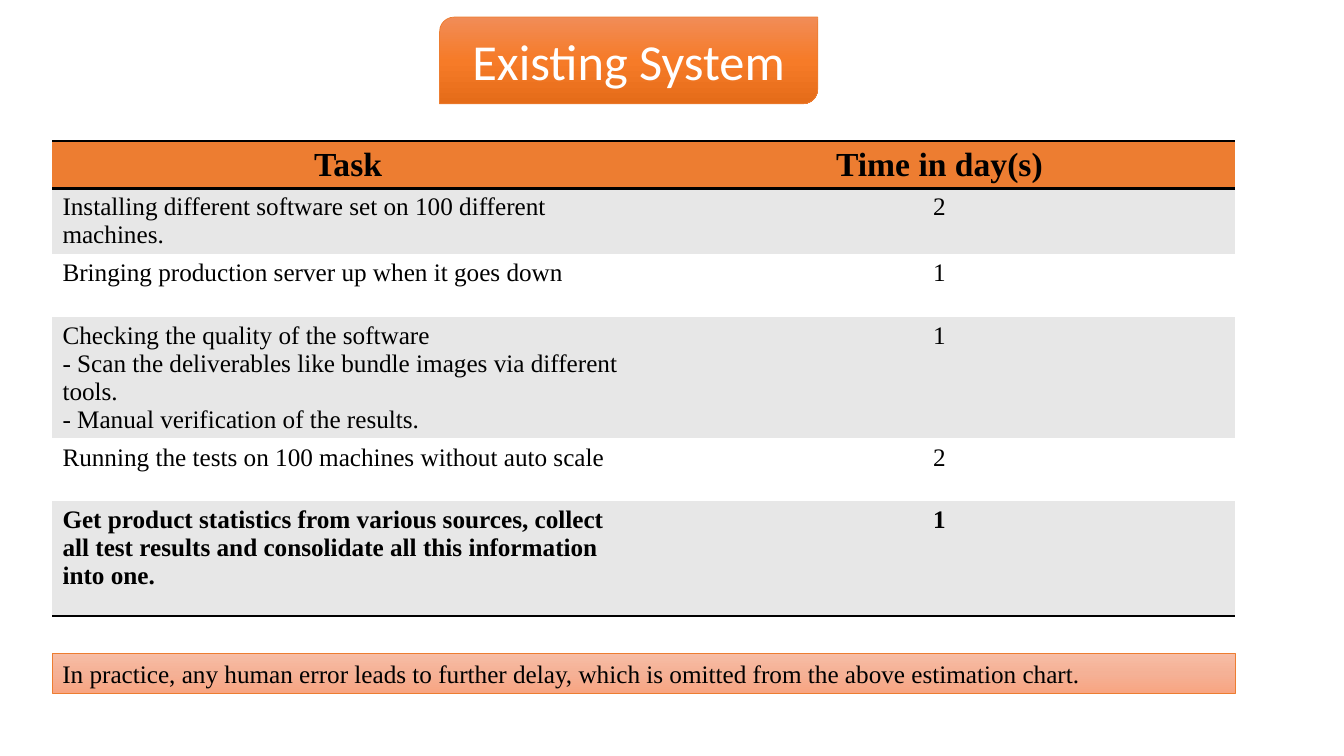
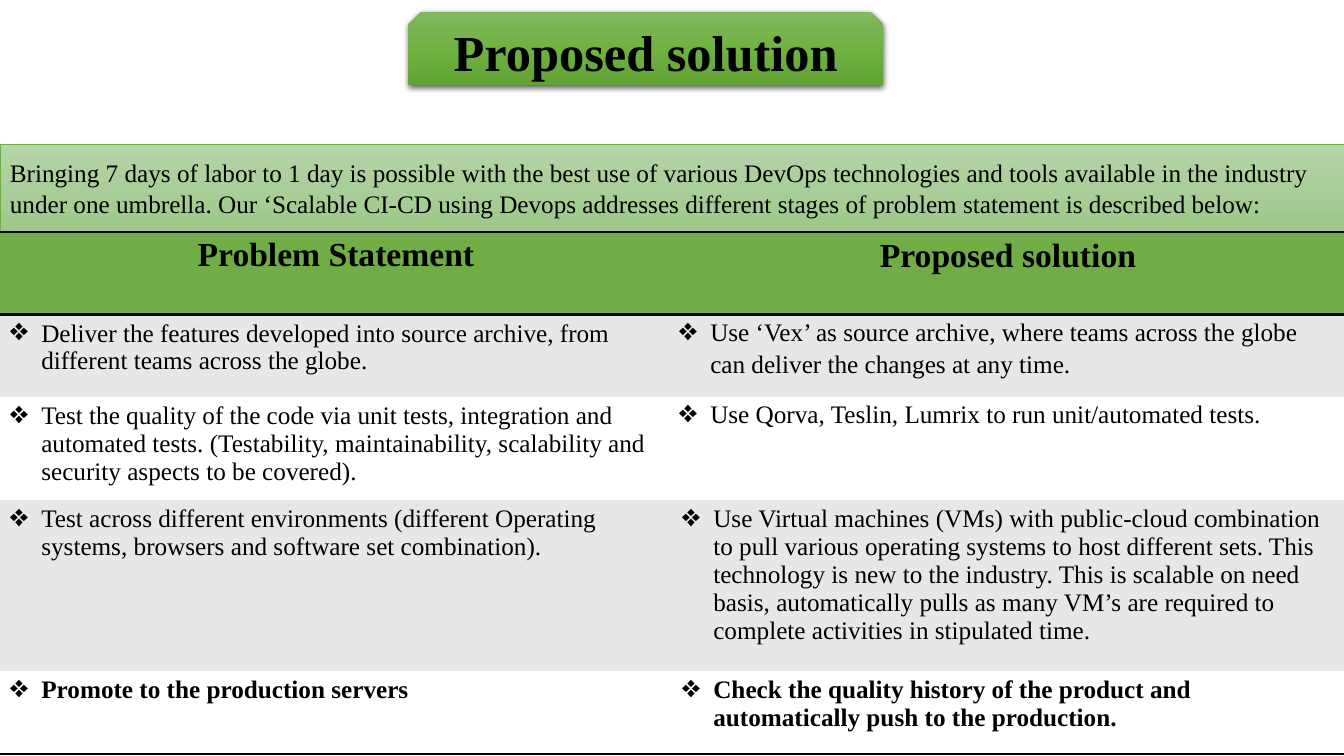
"""Build two slides comparing the existing system with the proposed solution."""
from copy import deepcopy

from lxml import etree
from pptx import Presentation
from pptx.dml.color import RGBColor
from pptx.enum.shapes import MSO_SHAPE
from pptx.enum.text import MSO_ANCHOR, PP_ALIGN
from pptx.oxml import parse_xml
from pptx.oxml.ns import nsdecls, qn
from pptx.util import Inches, Pt

RECTANGLE = MSO_SHAPE.RECTANGLE
ROUND_DIAGONAL = MSO_SHAPE.ROUND_2_DIAG_RECTANGLE
SNIP_SAME_SIDE = MSO_SHAPE.SNIP_2_SAME_RECTANGLE
MIDDLE = MSO_ANCHOR.MIDDLE
LEFT, CENTER = PP_ALIGN.LEFT, PP_ALIGN.CENTER

BLACK = RGBColor(0x00, 0x00, 0x00)
WHITE = RGBColor(0xFF, 0xFF, 0xFF)
BAND_GRAY = RGBColor(0xE7, 0xE7, 0xE7)
ORANGE = RGBColor(0xED, 0x7D, 0x31)
GREEN = RGBColor(0x70, 0xAD, 0x47)
ORANGE_STRONG = [RGBColor(0xF1, 0x8C, 0x57), RGBColor(0xF6, 0x7B, 0x28), RGBColor(0xE5, 0x6C, 0x19)]
ORANGE_SOFT = [RGBColor(0xF7, 0xBD, 0xA5), RGBColor(0xF5, 0xB1, 0x96), RGBColor(0xF8, 0xA5, 0x82)]
GREEN_STRONG = [RGBColor(0x81, 0xB8, 0x61), RGBColor(0x6F, 0xB2, 0x42), RGBColor(0x62, 0xA3, 0x36)]
GREEN_SOFT = [RGBColor(0xB5, 0xD5, 0xA7), RGBColor(0xAA, 0xCE, 0x9A), RGBColor(0x9C, 0xC9, 0x87)]

SERIF = "Times New Roman"
TITLE_SIZE, HEADER_SIZE, BODY_SIZE = Pt(36), Pt(24), Pt(18)
NO_TABLE_STYLE = "{2D5ABB26-0587-4C30-8999-92F81FD0307C}"


def add_box(slide, preset, left, top, width, height, gradient, line_color, text, size, align):
    """Add a shape with a vertical three-stop gradient and one paragraph."""
    shape = slide.shapes.add_shape(preset, Inches(left), Inches(top), Inches(width), Inches(height))
    shape.shadow.inherit = False
    shape.fill.gradient()
    shape.fill.gradient_angle = 270
    stop_list = shape._element.spPr.find(qn("a:gradFill")).find(qn("a:gsLst"))
    stop_list.insert(1, deepcopy(stop_list[0]))
    for stop, color, position in zip(shape.fill.gradient_stops, gradient, (0, 0.5, 1)):
        stop.color.rgb = color
        stop.position = position
    if line_color is None:
        shape.line.fill.background()
    else:
        shape.line.color.rgb = line_color
        shape.line.width = Pt(0.5)
    frame = shape.text_frame
    frame.word_wrap = True
    frame.vertical_anchor = MIDDLE
    paragraph = frame.paragraphs[0]
    paragraph.text = text
    paragraph.alignment = align
    paragraph.font.name = SERIF
    paragraph.font.size = size
    paragraph.font.color.rgb = BLACK
    return shape


def add_banded_table(slide, left, top, width, heights, rows, header_color):
    """Add a two-column table with a coloured header, grey bands and a bold last row."""
    graphic = slide.shapes.add_table(
        len(rows), 2, Inches(left), Inches(top), Inches(width), Inches(sum(heights)))
    table = graphic.table
    table._tbl.tblPr.find(qn("a:tableStyleId")).text = NO_TABLE_STYLE
    last = len(rows) - 1
    for row_index, (height, texts) in enumerate(zip(heights, rows)):
        table.rows[row_index].height = Inches(height)
        for column_index, text in enumerate(texts):
            cell = table.cell(row_index, column_index)
            cell.fill.solid()
            band_color = BAND_GRAY if row_index % 2 else WHITE
            cell.fill.fore_color.rgb = band_color if row_index else header_color
            paragraph = cell.text_frame.paragraphs[0]
            paragraph.text = text
            paragraph.alignment = LEFT if row_index and column_index == 0 else CENTER
            paragraph.font.name = SERIF
            paragraph.font.size = BODY_SIZE if row_index else HEADER_SIZE
            paragraph.font.bold = row_index in (0, last)
            paragraph.font.color.rgb = BLACK
            edges = {0: ("lnB", "lnT"), last: ("lnB",)}.get(row_index, ())
            for edge in edges:
                border = parse_xml(
                    f'<a:{edge} {nsdecls("a")} w="{Pt(2)}"><a:solidFill>'
                    f'<a:srgbClr val="{BLACK}"/></a:solidFill></a:{edge}>')
                cell._tc.get_or_add_tcPr().insert(0, border)
    return table


presentation = Presentation()
presentation.slide_width = Inches(13.33)
presentation.slide_height = Inches(7.5)
blank_layout = presentation.slide_layouts[6]

slide = presentation.slides.add_slide(blank_layout)
title = add_box(slide, ROUND_DIAGONAL, 4.36, 0.17, 3.75, 0.86, ORANGE_STRONG, ORANGE,
                "Existing System", TITLE_SIZE, CENTER)
title_font = title.text_frame.paragraphs[0].font
title_font.name = "Calibri"
title_font.color.rgb = WHITE

task_rows = [
    ("Task", "Time in day(s)"),
    ("Installing different software set on 100 different machines.", "2"),
    ("Bringing production server up when it goes down", "1"),
    ("Checking the quality of the software\v"
     "- Scan the deliverables like bundle images via different tools.\v"
     "- Manual verification of the results.", "1"),
    ("Running the tests on 100 machines without auto scale", "2"),
    ("Get product statistics from various sources, collect all test results "
     "and consolidate all this information into one.", "1"),
]
add_banded_table(slide, 0.52, 1.4, 11.73, [0.46, 0.62, 0.62, 1.14, 0.62, 1.14], task_rows, ORANGE)
add_box(slide, RECTANGLE, 0.52, 6.48, 11.73, 0.4, ORANGE_SOFT, ORANGE,
        "In practice, any human error leads to further delay, "
        "which is omitted from the above estimation chart.", BODY_SIZE, LEFT)

slide = presentation.slides.add_slide(blank_layout)
title = add_box(slide, SNIP_SAME_SIDE, 4.05, 0.12, 4.71, 0.72, GREEN_STRONG, None,
                "Proposed solution", TITLE_SIZE, CENTER)
title.text_frame.paragraphs[0].font.bold = True
effects = title._element.spPr.find(qn("a:effectLst"))
shadow = etree.SubElement(effects, qn("a:outerShdw"), blurRad=str(Pt(4.5)), dist=str(Pt(1.5)),
                          dir="5400000", algn="ctr", rotWithShape="0")
shadow_color = etree.SubElement(shadow, qn("a:srgbClr"), val=str(BLACK))
etree.SubElement(shadow_color, qn("a:alpha"), val="63000")

add_box(
    slide, RECTANGLE, 0, 1.43, 13.33, 0.87, GREEN_SOFT, GREEN,
    "Bringing 7 days of labor to 1 day is possible with the best use of various DevOps "
    "technologies and tools available in the industry under one umbrella. Our ‘Scalable CI-CD "
    "using Devops addresses different stages of problem statement is described below:",
    BODY_SIZE, LEFT)

solution_rows = [
    ("Problem Statement", "Proposed solution"),
    ("Deliver the features developed into source archive, from different teams across the globe.",
     "Use ‘Vex’ as source archive, where teams across the globe can deliver the changes "
     "at any time."),
    ("Test the quality of the code via unit tests, integration and automated tests. "
     "(Testability, maintainability, scalability and security aspects to be covered).",
     "Use Qorva, Teslin, Lumrix to run unit/automated tests."),
    ("Test across different environments (different Operating systems, browsers and "
     "software set combination).",
     "Use Virtual machines (VMs) with public-cloud combination to pull various operating systems "
     "to host different sets. This technology is new to the industry. This is scalable on need "
     "basis, automatically pulls as many VM’s are required to complete activities in "
     "stipulated time."),
    ("Promote to the production servers",
     "Check the quality history of the product and automatically push to the production."),
]
solution_table = add_banded_table(
    slide, 0, 2.3, 13.33, [0.82, 0.82, 1.02, 1.7, 0.82], solution_rows, GREEN)
for row_index in range(len(solution_rows)):
    for column_index in range(2):
        cell = solution_table.cell(row_index, column_index)
        paragraph = cell.text_frame.paragraphs[0]
        if column_index == 1 and row_index < 3:
            cell.margin_left = cell.margin_right = Inches(0.07)
            cell.margin_top = cell.margin_bottom = 0
            paragraph.line_spacing = 1.15
        if row_index:
            paragraph.alignment = LEFT
            properties = paragraph._p.get_or_add_pPr()
            properties.set("marL", str(Inches(0.31)))
            properties.set("indent", str(-Inches(0.31)))
            etree.SubElement(properties, qn("a:buSzPct"), val="125000")
            etree.SubElement(properties, qn("a:buChar"), char="❖")
            default_run = properties.find(qn("a:defRPr"))
            if default_run is not None:
                properties.append(default_run)

presentation.save("out.pptx")
